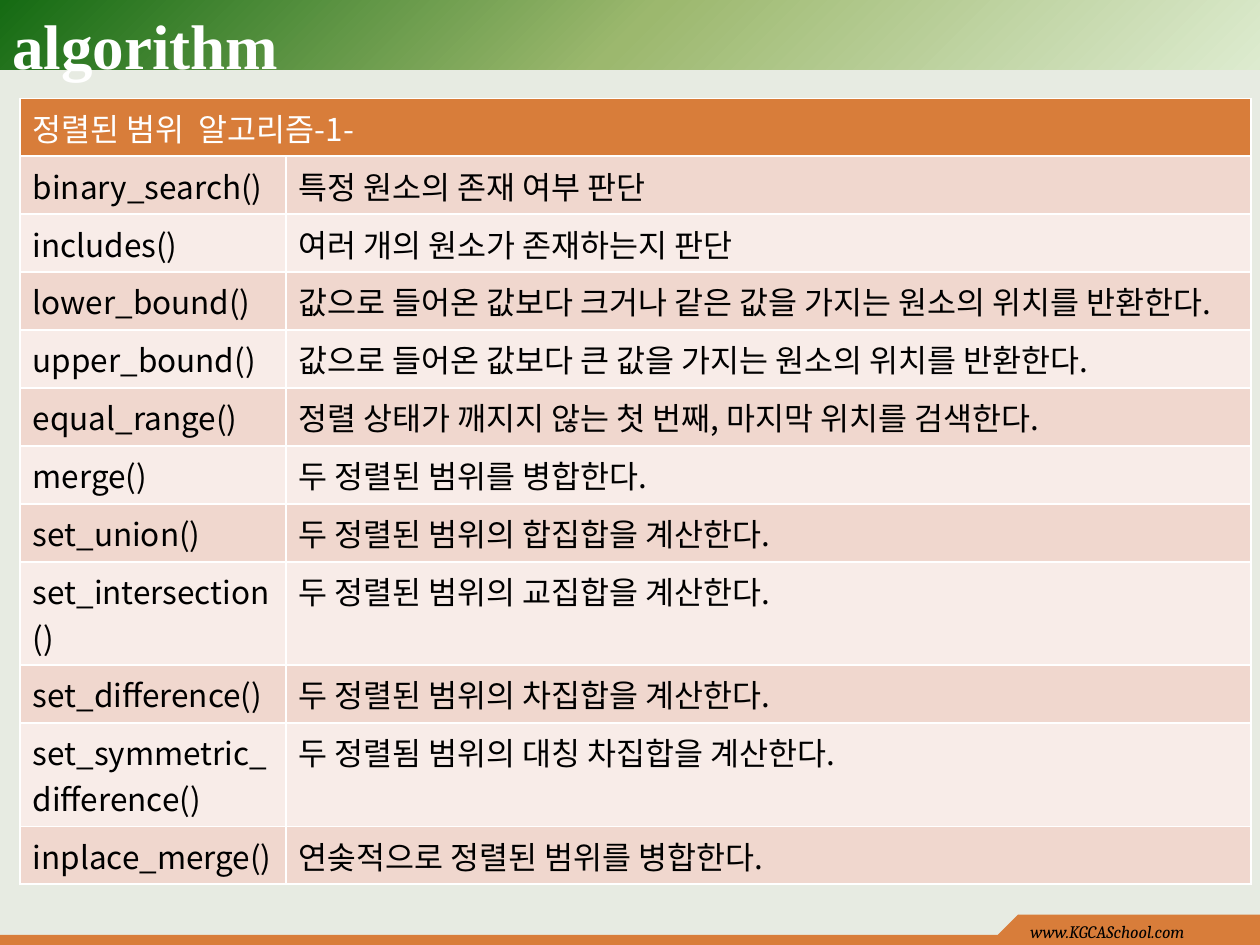
from lxml.etree import SubElement
from pptx import Presentation
from pptx.dml.color import RGBColor
from pptx.enum.shapes import MSO_SHAPE
from pptx.enum.text import MSO_ANCHOR
from pptx.oxml import parse_xml
from pptx.oxml.ns import nsdecls, qn
from pptx.util import Inches, Pt

HUES = {
    "page": "E7EBE2", "orange": "D87D3A", "white": "FFFFFF", "black": "000000",
    "odd": "F0D7CE", "even": "F8ECE8",
    "pale": "DDEBCF", "olive": "9CB86E", "green": "156B13",
}
FORMS = {
    "title": {"name": "Times New Roman", "size": Pt(36), "bold": True},
    "foot": {"name": "Cambria", "size": Pt(10), "italic": True},
    "cell": {"name": "Noto Sans CJK KR", "size": Pt(18)},
}
HEAD = "정렬된 범위  알고리즘-1-"
ROWS = [
    ("binary_search()", "특정 원소의 존재 여부 판단"),
    ("includes()", "여러 개의 원소가 존재하는지 판단"),
    ("lower_bound()", "값으로 들어온 값보다 크거나 같은 값을 가지는 원소의 위치를 반환한다."),
    ("upper_bound()", "값으로 들어온 값보다 큰 값을 가지는 원소의 위치를 반환한다."),
    ("equal_range()", "정렬 상태가 깨지지 않는 첫 번째, 마지막 위치를 검색한다."),
    ("merge()", "두 정렬된 범위를 병합한다."),
    ("set_union()", "두 정렬된 범위의 합집합을 계산한다."),
    ("set_intersection()", "두 정렬된 범위의 교집합을 계산한다."),
    ("set_difference()", "두 정렬된 범위의 차집합을 계산한다."),
    ("set_symmetric_difference()", "두 정렬됨 범위의 대칭 차집합을 계산한다."),
    ("inplace_merge()", "연솢적으로 정렬된 범위를 병합한다."),
]
TALL = {"set_intersection()", "set_symmetric_difference()"}


def rgb(hue):
    return RGBColor.from_string(HUES[hue])


def write(frame, text, form, hue):
    run = frame.paragraphs[0].add_run()
    run.text = text
    for key, value in FORMS[form].items():
        setattr(run.font, key, value)
    run.font.color.rgb = rgb(hue)
    # East Asian letters take the same font
    SubElement(run._r.get_or_add_rPr(), qn("a:ea"), typeface=FORMS[form]["name"])


def label(slide, box, text, form, hue, anchor):
    frame = slide.shapes.add_textbox(*map(Inches, box)).text_frame
    frame.word_wrap = True
    frame.vertical_anchor = anchor
    write(frame, text, form, hue)


def paint(shape, hue):
    shape.shadow.inherit = False
    shape.line.fill.background()
    shape.fill.solid()
    shape.fill.fore_color.rgb = rgb(hue)


def block(slide, box, hue):
    shape = slide.shapes.add_shape(MSO_SHAPE.RECTANGLE, *map(Inches, box))
    paint(shape, hue)
    return shape


def banner(slide, x, y, w, h):
    bar = block(slide, (x, y, w, h), "green")
    # Glow that spreads from the lower right corner
    stops = "".join(
        f'<a:gs pos="{pos}"><a:srgbClr val="{HUES[hue]}"/></a:gs>'
        for pos, hue in ((0, "pale"), (50000, "olive"), (100000, "green")))
    glow = parse_xml(
        f'<a:gradFill {nsdecls("a")} rotWithShape="1"><a:gsLst>{stops}</a:gsLst>'
        '<a:path path="circle"><a:fillToRect l="100000" t="100000"/></a:path>'
        '</a:gradFill>')
    props = bar._element.spPr
    props.replace(props.find(qn("a:solidFill")), glow)
    label(slide, (x, y, 9, 0.7), "algorithm", "title", "white", MSO_ANCHOR.MIDDLE)


def footer(slide, x, y, w, h):
    tab, slope, strip = 1.92, 0.16, 0.08
    left = x + w - tab
    base = y + h - strip
    block(slide, (x, base, w, strip), "orange")
    block(slide, (left, y, tab, h - strip), "orange")
    # Slanted edge of the tab
    pen = slide.shapes.build_freeform(Inches(left - slope), Inches(base))
    pen.add_line_segments([(Inches(left), Inches(base)), (Inches(left), Inches(y))])
    paint(pen.convert_to_shape(), "orange")
    label(slide, (left, y, tab, h), "www.KGCASchool.com", "foot", "black",
          MSO_ANCHOR.TOP)


def fill_cell(cell, text, ink, back):
    write(cell.text_frame, text, "cell", ink)
    cell.fill.solid()
    cell.fill.fore_color.rgb = rgb(back)
    props = cell._tc.get_or_add_tcPr()
    for spot, side in enumerate(("lnL", "lnR", "lnT", "lnB")):
        props.insert(spot, parse_xml(
            f'<a:{side} {nsdecls("a")} w="12700"><a:solidFill>'
            f'<a:srgbClr val="{HUES["white"]}"/></a:solidFill></a:{side}>'))


def grid(slide, x, y, w, h):
    size = len(ROWS) + 1
    table = slide.shapes.add_table(size, 2, *map(Inches, (x, y, w, h))).table
    for col, wide in zip(table.columns, (2.11, w - 2.11)):
        col.width = Inches(wide)
    for row in table.rows:
        row.height = Inches(0.46)
    # Header across both columns
    table.cell(0, 0).merge(table.cell(0, 1))
    fill_cell(table.cell(0, 0), HEAD, "white", "orange")
    for num, pair in enumerate(ROWS, 1):
        if pair[0] in TALL:
            table.rows[num].height = Inches(0.82)
        for col, text in enumerate(pair):
            fill_cell(table.cell(num, col), text, "black", "odd" if num % 2 else "even")


def main():
    deck = Presentation()
    deck.slide_width, deck.slide_height = Inches(10), Inches(7.5)
    slide = deck.slides.add_slide(deck.slide_layouts[6])
    slide.background.fill.solid()
    slide.background.fill.fore_color.rgb = rgb("page")
    banner(slide, 0, 0, 10, 0.55)
    footer(slide, 0, 7.26, 10, 0.24)
    grid(slide, 0.16, 0.78, 9.77, 6.24)
    deck.save("out.pptx")


if __name__ == "__main__":
    main()
